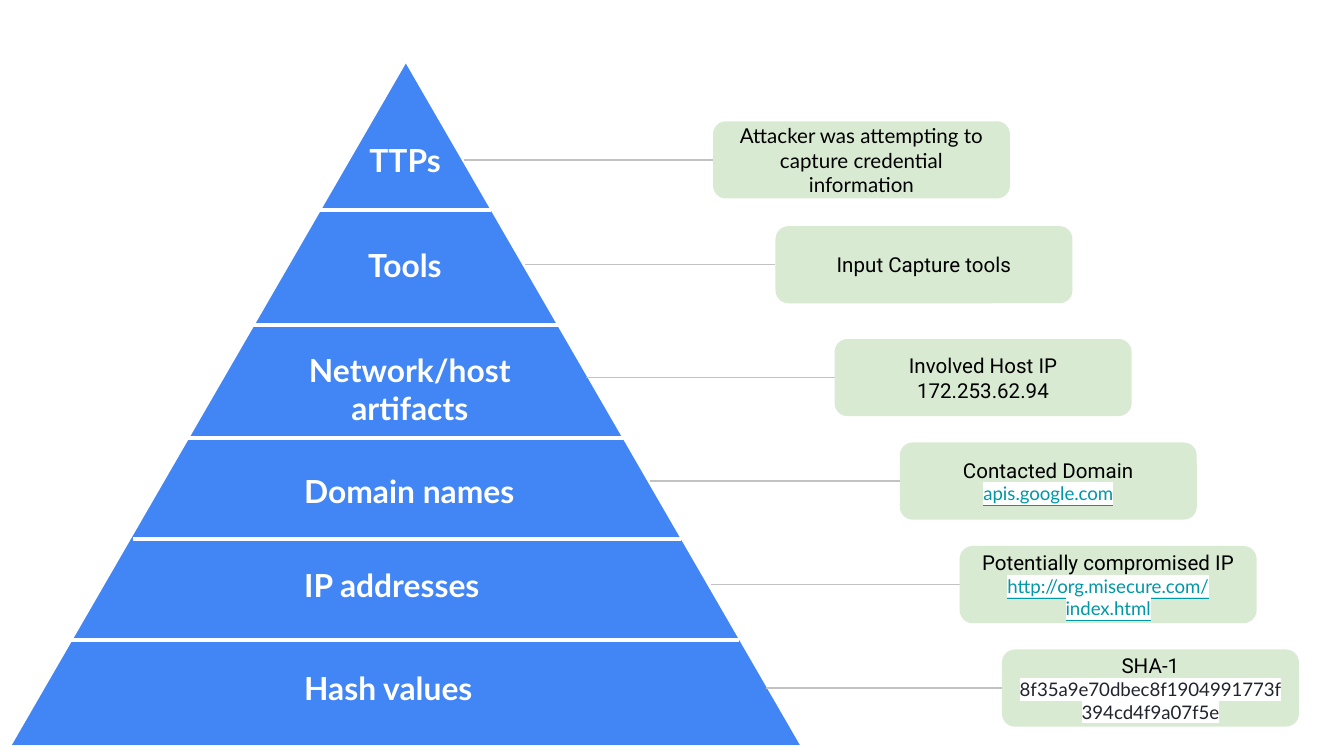
from lxml import etree
from pptx import Presentation
from pptx.dml.color import RGBColor
from pptx.enum.shapes import MSO_CONNECTOR, MSO_SHAPE
from pptx.enum.text import MSO_ANCHOR, MSO_AUTO_SIZE, PP_ALIGN
from pptx.oxml.ns import qn
from pptx.util import Inches, Pt

LEFT, CENTER = PP_ALIGN.LEFT, PP_ALIGN.CENTER
STRAIGHT, ELBOW = MSO_CONNECTOR.STRAIGHT, MSO_CONNECTOR.ELBOW
COLORS = {"blue": "4285F4", "white": "FFFFFF", "green": "D9EAD3",
          "gray": "C2C2C2", "black": "000000", "link": "0097A7", "hash": "20242C"}
RGB = {name: RGBColor.from_string(code) for name, code in COLORS.items()}

deck = Presentation()
deck.slide_width = Inches(10)
deck.slide_height = deck.slide_width * 9 // 16
slide = deck.slides.add_slide(deck.slide_layouts[6])
CELL = deck.slide_width / 100  # square grid, 100 columns wide


def grid(*cells):
    """Turn counts of grid cells into lengths."""
    return [round(n * CELL) for n in cells]


def add_line(shapes, kind, ends, color, width):
    line = shapes.add_connector(kind, *grid(*ends))
    line.line.color.rgb = RGB[color]
    line.line.width = Pt(width)
    etree.SubElement(line._element.spPr, qn("a:effectLst"))


# Pyramid with its dividers
group = slide.shapes.add_group_shape()
peak = group.shapes.add_shape(MSO_SHAPE.ISOSCELES_TRIANGLE, *grid(0.6, 4.4, 59.2, 51.2))
peak.shadow.inherit = False
peak.fill.solid()
peak.fill.fore_color.rgb = RGB["blue"]
peak.line.color.rgb = RGB["white"]
peak.line.width = Pt(2.25)
cuts = [(23.8, 36.5, 15.6), (18.8, 41.7, 24.2), (13.9, 46.4, 32.6),
        (9.9, 50.7, 40.1), (5.3, 55, 47.6)]
for start, end, y in cuts:
    add_line(group.shapes, STRAIGHT, (start, y, end, y), "white", 2.25)

# Tier labels: text, left, top, width, height, alignment
labels = [
    ("TTPs", 26.5, 9.45, 8.8, 4.9, LEFT),
    ("Tools", 26.4, 17.3, 8.8, 4.9, LEFT),
    ("Network/host artifacts", 19.6, 25.1, 21.8, 7.7, CENTER),
    ("Domain names", 21.65, 34.1, 22.4, 4.9, LEFT),
    ("IP addresses", 21.65, 41.1, 22.4, 4.9, LEFT),
    ("Hash values", 21.65, 48.75, 22.4, 4.9, LEFT),
]
for text, x, y, wide, high, align in labels:
    frame = slide.shapes.add_textbox(*grid(x, y, wide, high)).text_frame
    frame.word_wrap = True
    frame.auto_size = MSO_AUTO_SIZE.SHAPE_TO_FIT_TEXT
    frame.margin_left = frame.margin_right = Inches(0.1)
    frame.margin_top = frame.margin_bottom = Inches(0.1)
    frame.text = text
    para = frame.paragraphs[0]
    para.alignment = align
    font = para.runs[0].font
    font.name, font.size, font.bold = "Lato", Pt(17), True
    font.color.rgb = RGB["white"]

# Run styles: font, size, colour, underlined, highlighted
styles = {
    "lato": ("Lato", 11, "black", False, False),
    "plain": ("Roboto", 11, "black", False, False),
    "link": ("Lato", 10, "link", True, True),
    "hash": ("Lato", 10, "hash", False, True),
}
# Findings: line start, box left, middle, paragraphs of (text, style) runs
notes = [
    (34.5, 53.05, 11.9, [[("Attacker was attempting to capture credential information", "lato")]]),
    (39.1, 57.7, 19.7, [[("Input Capture tools", "plain")]]),
    (43.6, 62.1, 28.1, [[("Involved Host IP", "plain")], [("172.253.62.94", "plain")]]),
    (48.4, 66.95, 35.8, [[("Contacted Domain", "plain")], [("apis.google.com", "link")]]),
    (52.9, 71.4, 43.5, [[("Potentially compromised IP", "plain")],
                        [("http://org.misecure.com/index.html", "link")]]),
    (57, 74.55, 51.2, [[("SHA-1 ", "plain"),
                        ("8f35a9e70dbec8f1904991773f394cd4f9a07f5e", "hash")]]),
]
WIDE, HIGH = 22.1, 5.74
for start, x, mid, paras in notes:
    add_line(slide.shapes, ELBOW, (start, mid, x, mid), "gray", 0.75)
    box = slide.shapes.add_shape(MSO_SHAPE.ROUNDED_RECTANGLE,
                                 *grid(x, mid - HIGH / 2, WIDE, HIGH))
    box.shadow.inherit = False
    box.fill.solid()
    box.fill.fore_color.rgb = RGB["green"]
    box.line.fill.background()
    frame = box.text_frame
    frame.word_wrap = True
    frame.vertical_anchor = MSO_ANCHOR.MIDDLE
    frame.margin_left = frame.margin_right = Inches(0.1)
    frame.margin_top = frame.margin_bottom = Inches(0.1)
    for i, runs in enumerate(paras):
        para = frame.add_paragraph() if i else frame.paragraphs[0]
        para.alignment = CENTER
        for text, style in runs:
            name, size, color, under, mark = styles[style]
            run = para.add_run()
            run.text = text
            font = run.font
            font.size = Pt(size)
            font.color.rgb = RGB[color]
            if under:
                font.underline = True
            if mark:
                glow = etree.SubElement(run._r.get_or_add_rPr(), qn("a:highlight"))
                etree.SubElement(glow, qn("a:srgbClr"), val=COLORS["white"])
            font.name = name

deck.save("out.pptx")
